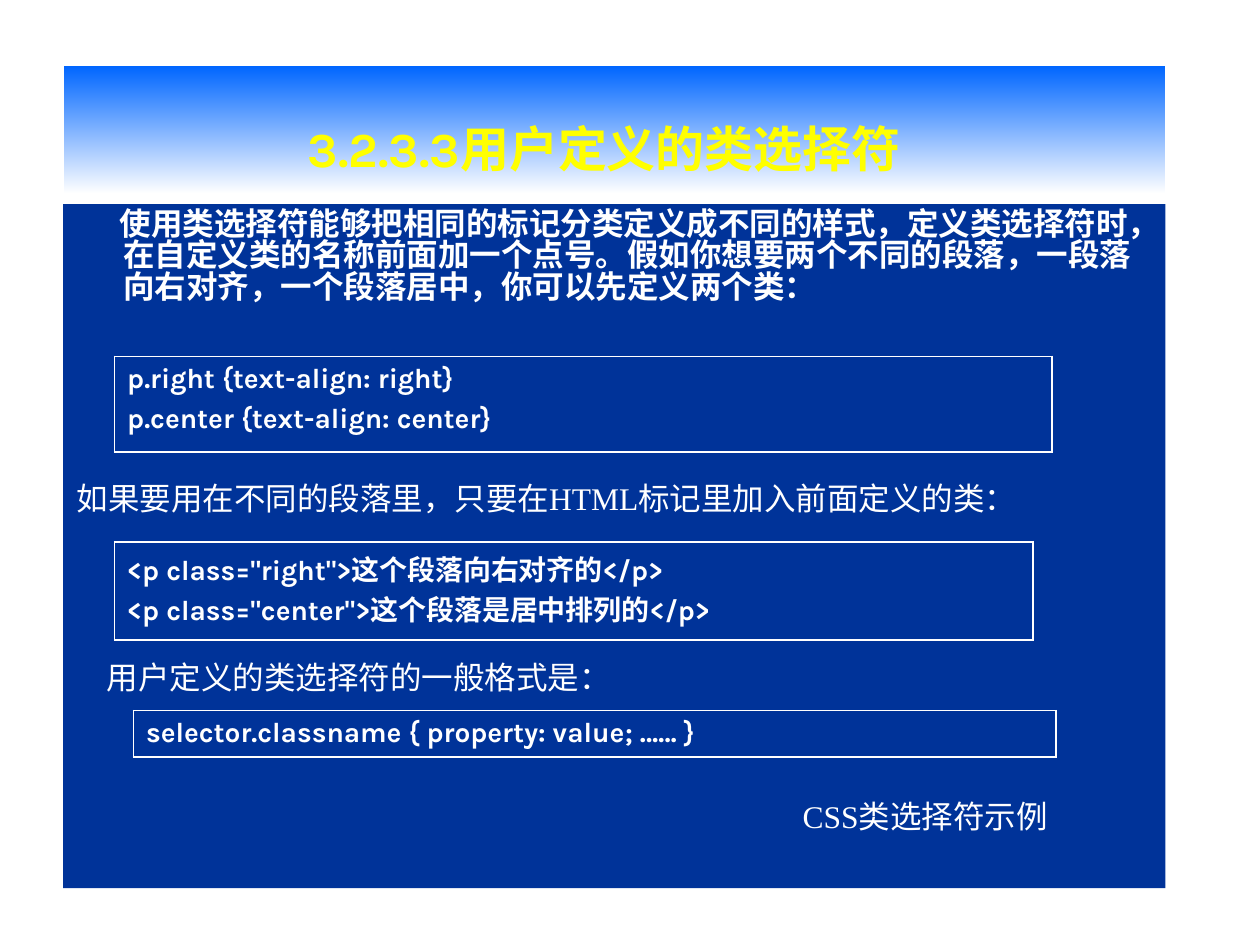
"""Build a slide explaining user-defined CSS class selectors."""
import pptx
import pptx.dml.color
import pptx.enum.shapes
import pptx.enum.text
import pptx.oxml
import pptx.oxml.ns
import pptx.util

COLORS = {"sky": "0066FF", "white": "FFFFFF", "navy": "003399", "yellow": "FFFF00"}
CODE_FONT = "Karla"
TEXT_FONT = "Times New Roman"
ALIGN = pptx.enum.text.PP_ALIGN

presentation = pptx.Presentation()
presentation.slide_width = pptx.util.Inches(10)
presentation.slide_height = pptx.util.Inches(7.5)
slide = presentation.slides.add_slide(presentation.slide_layouts[6])
column = presentation.slide_width / 100
row = presentation.slide_height / 75


def grid(left, top, width, height):
    return [int(left * column), int(top * row), int(width * column), int(height * row)]


def add_run(paragraph, text, size, font, color="white", bold=False):
    run = paragraph.add_run()
    run.text = text
    run.font.size = pptx.util.Pt(size)
    run.font.name = font
    run.font.bold = bold
    run.font.color.rgb = pptx.dml.color.RGBColor.from_string(COLORS[color])


panels = []
for area in [(5.1, 5.2, 87.4, 10.2), (5, 16.2, 87.5, 54.3)]:
    panel = slide.shapes.add_shape(pptx.enum.shapes.MSO_SHAPE.RECTANGLE, *grid(*area))
    panel.shadow.inherit = False
    panel.line.fill.background()
    panel.text_frame.word_wrap = True
    panels.append(panel)
title, body = panels

title.fill.gradient()
title.fill.gradient_angle = 270
for stop, color in zip(title.fill.gradient_stops, ["sky", "white"]):
    stop.color.rgb = pptx.dml.color.RGBColor.from_string(COLORS[color])
title.text_frame.vertical_anchor = pptx.enum.text.MSO_ANCHOR.MIDDLE
paragraph = title.text_frame.paragraphs[0]
paragraph.alignment = ALIGN.CENTER
add_run(paragraph, "3.2.3.3用户定义的类选择符", 28, CODE_FONT, "yellow", True)
add_run(paragraph, " ", 54, CODE_FONT, "yellow", True)

body.fill.solid()
body.fill.fore_color.rgb = pptx.dml.color.RGBColor.from_string(COLORS["navy"])
body.text_frame.vertical_anchor = pptx.enum.text.MSO_ANCHOR.TOP
paragraph = body.text_frame.paragraphs[0]
paragraph.alignment = ALIGN.LEFT
paragraph.space_before = pptx.util.Pt(4.5)
paragraph.line_spacing = 0.83
properties = paragraph._p.get_or_add_pPr()
properties.set("marL", str(int(3.8 * column)))
properties.set("indent", str(int(-0.3 * column)))
add_run(
    paragraph,
    "使用类选择符能够把相同的标记分类定义成不同的样式，定义类选择符时，"
    "在自定义类的名称前面加一个点号。假如你想要两个不同的段落，"
    "一段落向右对齐，一个段落居中，你可以先定义两个类：",
    18, CODE_FONT, bold=True,
)

captions = [
    ((5.1, 37.5, 79.5, 4), ALIGN.LEFT, "如果要用在不同的段落里，只要在HTML标记里加入前面定义的类："),
    ((7.5, 51.7, 76.4, 4), ALIGN.LEFT, "用户定义的类选择符的一般格式是："),
    ((6.7, 62.8, 78, 4), ALIGN.RIGHT, "CSS类选择符示例 "),
]
for area, alignment, text in captions:
    caption = slide.shapes.add_textbox(*grid(*area))
    caption.text_frame.word_wrap = True
    paragraph = caption.text_frame.paragraphs[0]
    paragraph.alignment = alignment
    add_run(paragraph, text, 18, TEXT_FONT)

code_boxes = [
    ((9.1, 28.3, 74.4, 7.6), [["p.right {text-align: right}"], ["p.center {text-align: center}"]]),
    ((9.1, 43, 72.9, 7.8), [['<p class="right">这个段落向右对齐的</p> ', '<p class="center">这个段落是居中排列的</p>']]),
    ((10.6, 56.4, 73.2, 3.7), [["selector.classname { property: value; …… }"]]),
]
for area, paragraphs in code_boxes:
    table = slide.shapes.add_table(1, 1, *grid(*area)).table
    table.first_row = False
    table.horz_banding = False
    cell = table.cell(0, 0)
    properties = cell._tc.get_or_add_tcPr()
    for edge in ["lnL", "lnR", "lnT", "lnB"]:
        properties.append(pptx.oxml.parse_xml(
            f'<a:{edge} {pptx.oxml.ns.nsdecls("a")} w="{pptx.util.Pt(1.08)}"><a:solidFill>'
            f'<a:srgbClr val="{COLORS["white"]}"/></a:solidFill></a:{edge}>'
        ))
    cell.fill.background()
    for index, lines in enumerate(paragraphs):
        frame = cell.text_frame
        paragraph = frame.add_paragraph() if index else frame.paragraphs[0]
        paragraph.space_before = pptx.util.Pt(4)
        for number, line in enumerate(lines):
            if number:
                paragraph.add_line_break()
            add_run(paragraph, line, 16, CODE_FONT, bold=True)

presentation.save("out.pptx")
